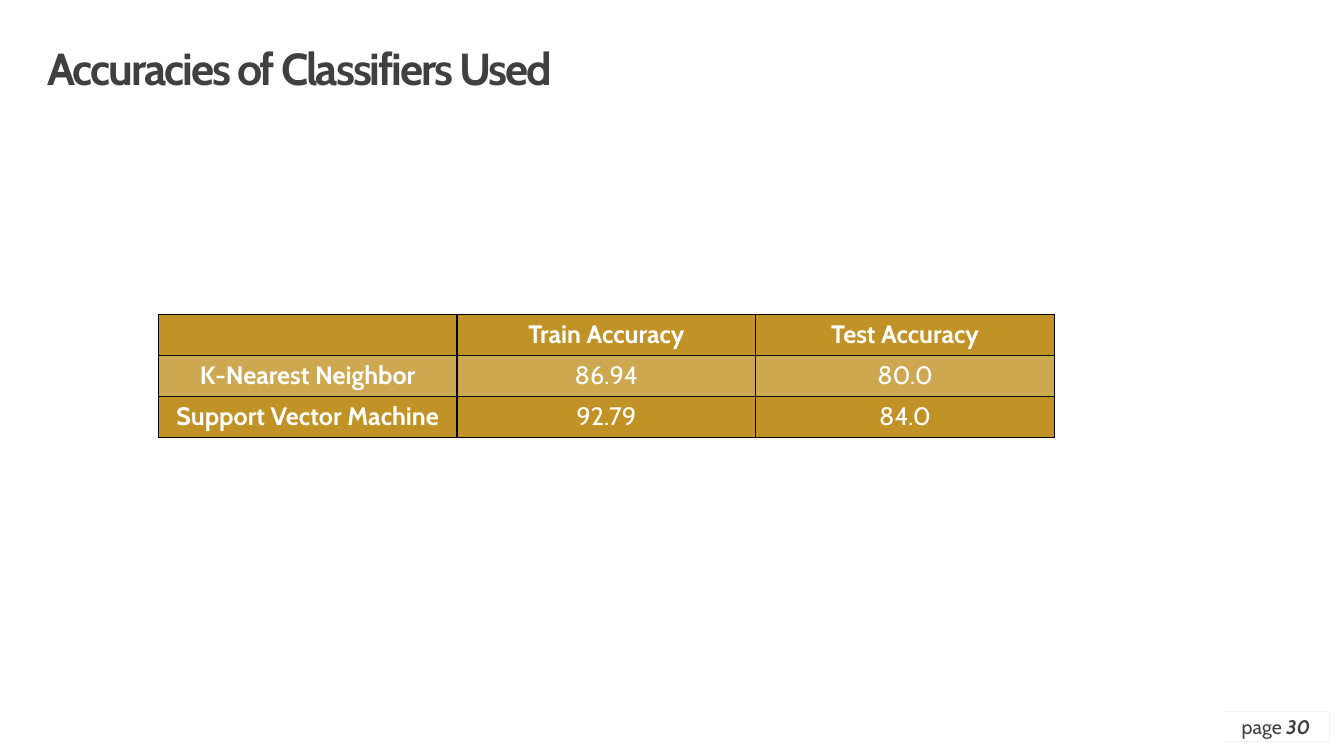
from dataclasses import dataclass

import pptx
import pptx.dml.color
import pptx.enum.shapes
import pptx.enum.text
import pptx.oxml
import pptx.oxml.ns
import pptx.util

ALIGN = pptx.enum.text.PP_ALIGN
MIDDLE = pptx.enum.text.MSO_ANCHOR.MIDDLE


@dataclass(frozen=True)
class Theme:
    font: str = "Cabin"
    back: str = "F2F2F2"
    white: str = "FFFFFF"
    dark: str = "404040"
    gold: str = "C19225"
    pale: str = "CDA851"
    edge: str = "000000"
    title: int = 32
    cell: int = 18
    page: int = 14


@dataclass(frozen=True)
class Box:
    """Place and size in percent of the slide's width and height."""
    left: float
    top: float
    wide: float
    high: float


@dataclass(frozen=True)
class Panel:
    box: Box
    line: str = ""
    width: float = 1
    fill: str = ""


THEME = Theme()
WIDE, HIGH = pptx.util.Inches(13.33), pptx.util.Inches(7.5)

FRAME = [
    Panel(Box(0, 0, 100, 2), fill=THEME.white),
    Panel(Box(0, 0, 1.13, 100), fill=THEME.white),
    Panel(Box(89.87, 0, 10.13, 100), fill=THEME.white),
    Panel(Box(0, 98, 100, 2), fill=THEME.white),
]
PAGE = Panel(Box(91, 94.13, 7.88, 3.87), THEME.back, 0.25)
COVER = [
    Panel(Box(91, 85.6, 9, 7.47), THEME.white, fill=THEME.white),
    Panel(Box(0.98, 1.6, 90.02, 96.4), THEME.white, fill=THEME.white),
]
TITLE = Box(3.53, 6.27, 83.2, 6.27)
TABLE = Box(11.78, 41.6, 66.68, 16.27)
ROWS = [
    ("", "Train Accuracy", "Test Accuracy"),
    ("K-Nearest Neighbor", "86.94", "80.0"),
    ("Support Vector Machine", "92.79", "84.0"),
]


def rgb(code: str) -> pptx.dml.color.RGBColor:
    return pptx.dml.color.RGBColor.from_string(code)


def scale(box: Box) -> tuple[int, int, int, int]:
    """Turn percent into slide lengths."""
    return (int(box.left * WIDE / 100), int(box.top * HIGH / 100),
            int(box.wide * WIDE / 100), int(box.high * HIGH / 100))


def write(frame, text: str, *, size: int, color: str, bold: bool = False,
          italic: bool = False, align=ALIGN.CENTER, track: float = 0) -> None:
    """Add a run to the frame's first paragraph."""
    para = frame.paragraphs[0]
    para.alignment = align
    run = para.add_run()
    run.text = text
    font = run.font
    font.name, font.size = THEME.font, pptx.util.Pt(size)
    font.bold, font.italic = bold, italic
    font.color.rgb = rgb(color)
    if track:
        font._element.set("spc", str(int(track * 100)))


def trim(frame) -> None:
    """Remove the margins and center the text upright."""
    frame.margin_left = frame.margin_right = 0
    frame.margin_top = frame.margin_bottom = 0
    frame.vertical_anchor = MIDDLE
    frame.word_wrap = True
    frame.auto_size = pptx.enum.text.MSO_AUTO_SIZE.NONE


def draw(slide, panel: Panel):
    kind = pptx.enum.shapes.MSO_SHAPE.RECTANGLE
    shape = slide.shapes.add_shape(kind, *scale(panel.box))
    shape.shadow.inherit = False
    if panel.fill:
        shape.fill.solid()
        shape.fill.fore_color.rgb = rgb(panel.fill)
    else:
        shape.fill.background()
    if panel.line:
        shape.line.color.rgb = rgb(panel.line)
        shape.line.width = pptx.util.Pt(panel.width)
    else:
        shape.line.fill.background()
    return shape


def border(cell) -> None:
    props = cell._tc.get_or_add_tcPr()
    for side in "LRTB":
        props.append(pptx.oxml.parse_xml(
            f'<a:ln{side} {pptx.oxml.ns.nsdecls("a")} w="12700"><a:solidFill>'
            f'<a:srgbClr val="{THEME.edge}"/></a:solidFill></a:ln{side}>'))


def head(slide) -> None:
    title = slide.shapes.title
    title.left, title.top, title.width, title.height = scale(TITLE)
    trim(title.text_frame)
    write(title.text_frame, "Accuracies of Classifiers Used", size=THEME.title,
          color=THEME.dark, bold=True, align=ALIGN.LEFT, track=-1.5)
    title.text_frame.paragraphs[0].line_spacing = 0.9
    slide.shapes._spTree.append(title._element)


def tabulate(slide) -> None:
    left, top, wide, high = scale(TABLE)
    count = len(ROWS[0])
    table = slide.shapes.add_table(len(ROWS), count, left, top, wide, high).table
    for column in table.columns:
        column.width = wide // count
    for r, row in enumerate(ROWS):
        table.rows[r].height = high // len(ROWS)
        for c, text in enumerate(row):
            cell = table.cell(r, c)
            border(cell)
            cell.fill.solid()
            cell.fill.fore_color.rgb = rgb(THEME.pale if r % 2 else THEME.gold)
            cell.vertical_anchor = MIDDLE
            if text:
                write(cell.text_frame, text, size=THEME.cell,
                      color=THEME.white, bold=r == 0 or c == 0)


def main() -> None:
    deck = pptx.Presentation()
    deck.slide_width, deck.slide_height = WIDE, HIGH
    slide = deck.slides.add_slide(deck.slide_layouts[5])
    slide.background.fill.solid()
    slide.background.fill.fore_color.rgb = rgb(THEME.back)
    for panel in FRAME:
        draw(slide, panel)
    label = draw(slide, PAGE).text_frame
    trim(label)
    write(label, "page ", size=THEME.page, color=THEME.dark)
    write(label, "30", size=THEME.page, color=THEME.dark, bold=True, italic=True)
    for panel in COVER:
        draw(slide, panel)
    head(slide)
    tabulate(slide)
    deck.save("out.pptx")


if __name__ == "__main__":
    main()
